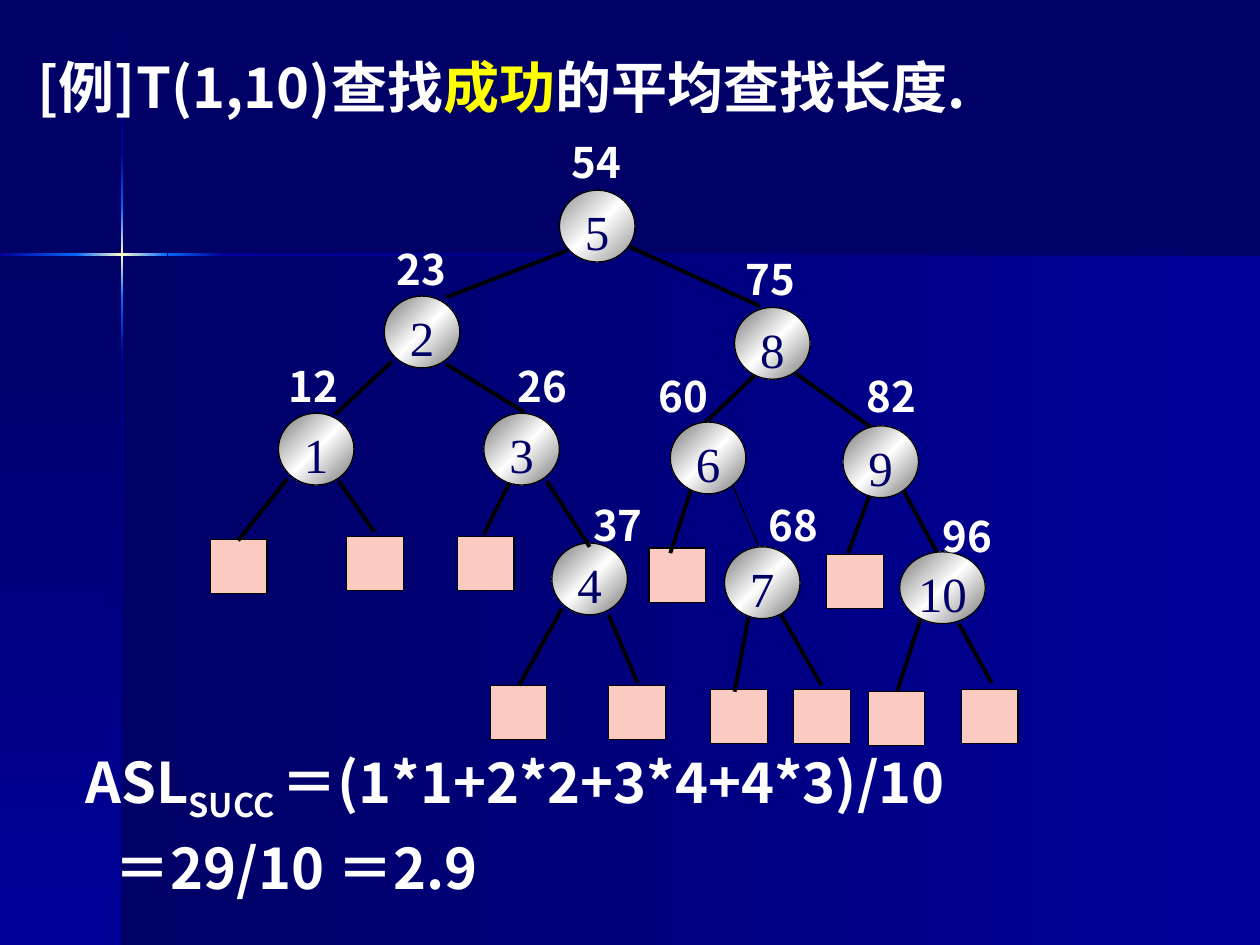
from dataclasses import dataclass
from lxml.etree import SubElement
from pptx import Presentation
from pptx.dml.color import RGBColor
from pptx.enum.shapes import MSO_CONNECTOR, MSO_SHAPE
from pptx.enum.text import MSO_ANCHOR, PP_ALIGN
from pptx.oxml.ns import qn
from pptx.util import Inches, Pt


@dataclass(frozen=True)
class Theme:
    navy: str = "000066"
    blue: str = "000099"
    glow: str = "0066FF"
    spark: str = "FFFFCC"
    white: str = "FFFFFF"
    mark: str = "FFFF00"
    black: str = "000000"
    leaf: str = "FBCBC1"
    steel: str = "767676"
    pale: str = "909090"
    sans: str = "Noto Sans CJK SC"
    serif: str = "Times New Roman"
    big: int = 32
    mid: int = 28
    small: int = 24
    lead: float = 1.36
    thin: float = 0.75
    thick: float = 2.25


class Deck:
    """Lengths are columns and rows of a 100 by 75 grid."""

    def __init__(self, theme):
        self.theme = theme
        self.prs = Presentation()
        self.prs.slide_width, self.prs.slide_height = Inches(10), Inches(7.5)
        self.slide = self.prs.slides.add_slide(self.prs.slide_layouts[6])
        self.paint(self.slide.background.fill, theme.navy)

    def grid(self, *cells):
        return [Inches(cell / 10) for cell in cells]

    def paint(self, fill, tone):
        fill.solid()
        fill.fore_color.rgb = RGBColor.from_string(tone)

    def blend(self, shape, tones, angle):
        shape.fill.gradient()
        shape.fill.gradient_angle = -angle % 360
        stops = shape.element.spPr.find(qn("a:gradFill")).find(qn("a:gsLst"))
        stops.clear()
        for i, tone in enumerate(tones):
            pos = 100000 * i // (len(tones) - 1)
            stop = SubElement(stops, qn("a:gs"), pos=str(pos))
            SubElement(stop, qn("a:srgbClr"), val=tone)

    def shape(self, kind, box, edge=True):
        shape = self.slide.shapes.add_shape(kind, *self.grid(*box))
        shape.shadow.inherit = False
        if edge:
            self.paint(shape.line.fill, self.theme.black)
            shape.line.width = Pt(self.theme.thin)
        else:
            shape.line.fill.background()
        return shape

    def band(self, box, tones, angle):
        self.blend(self.shape(MSO_SHAPE.RECTANGLE, box, False), tones, angle)

    def style(self, para, face, size, tone):
        font = para.font
        font.size, font.name = Pt(size), face
        font.color.rgb = RGBColor.from_string(tone)
        props = para._p.get_or_add_pPr().find(qn("a:defRPr"))
        SubElement(props, qn("a:ea"), typeface=face)

    def text(self, box, lines, size, left=1, dents=(0, 0)):
        """Each line is a list of (text, color, baseline shift)."""
        frame = self.slide.shapes.add_textbox(*self.grid(*box)).text_frame
        frame.word_wrap = True
        frame.margin_left, frame.margin_right = self.grid(left, 0)
        for i, (line, dent) in enumerate(zip(lines, dents)):
            para = frame.add_paragraph() if i else frame.paragraphs[0]
            para.line_spacing = Pt(size * self.theme.lead)
            para._p.get_or_add_pPr().set("marL", str(self.grid(dent)[0]))
            self.style(para, self.theme.sans, size, self.theme.white)
            para.font.bold = True
            for words, tone, shift in line:
                run = para.add_run()
                run.text = words
                if tone:
                    run.font.color.rgb = RGBColor.from_string(tone)
                if shift:
                    run.font._element.set("baseline", str(shift * 1000))

    def node(self, num, x, y, tone, wide=6):
        theme = self.theme
        ball = self.shape(MSO_SHAPE.OVAL, (x, y, wide, 5.7))
        self.blend(ball, (tone, theme.white, tone), 45)
        frame = ball.text_frame
        frame.vertical_anchor = MSO_ANCHOR.TOP
        frame.margin_left = frame.margin_right = Inches(0.02)
        frame.margin_top = frame.margin_bottom = Inches(0.01)
        para = frame.paragraphs[0]
        para.alignment = PP_ALIGN.CENTER
        self.style(para, theme.serif, theme.mid, theme.navy)
        para.add_run().text = str(num)

    def leaf(self, x, y):
        box = self.shape(MSO_SHAPE.RECTANGLE, (x, y, 4.5, 4.3))
        self.paint(box.fill, self.theme.leaf)

    def edge(self, ends, width):
        line = self.slide.shapes.add_connector(
            MSO_CONNECTOR.STRAIGHT, *self.grid(*ends))
        self.paint(line.line.fill, self.theme.black)
        line.line.width = Pt(width)
        SubElement(line._element.spPr, qn("a:effectLst"))


# number, node place, key, key place
NODES = [
    (4, 43.8, 43.1, "37", 46.1, 38.8),
    (5, 44.4, 15.1, "54", 44.4, 10),
    (2, 30.5, 23.5, "23", 30.5, 18.5),
    (8, 58.3, 24.4, "75", 58.2, 19.3),
    (1, 22.1, 32.8, "12", 21.9, 27.8),
    (3, 38.4, 32.8, "26", 40.1, 27.8),
    (6, 53.2, 33.5, "60", 51.3, 28.6),
    (9, 66.9, 33.8, "82", 67.8, 28.6),
    (7, 57.5, 43.4, "68", 60, 38.8),
    (10, 71.4, 43.8, "96", 73.8, 39.7),
]
LEAVES = [
    (51.5, 43.5), (36.3, 42.6), (65.6, 44), (76.3, 54.7), (27.5, 42.6),
    (16.7, 42.8), (38.9, 54.4), (48.3, 54.4), (56.4, 54.7), (63, 54.7),
    (68.9, 54.9),
]
EDGES = [
    (50, 19.6, 60.3, 24.3), (45, 19.9, 35.4, 23.6),
    (31.1, 28.7, 26.6, 32.9), (35.4, 28.9, 41.6, 32.7),
    (60.1, 29.6, 55.6, 33.9), (63.1, 29.6, 69.1, 33.9),
    (22.8, 38, 18.9, 42.9), (26.9, 38.2, 29.7, 42.2),
    (40.5, 38.2, 38.4, 42.4), (43.4, 38.2, 46.8, 43.4),
    (54.9, 38.7, 53.2, 43.9), (69.1, 39.1, 67.3, 43.9),
    (71.7, 38.9, 74.6, 44.3), (44.6, 48.3, 41.2, 54.4),
    (48.3, 48.8, 50.6, 54.2), (59.4, 49, 58.3, 54.9),
    (62, 48.8, 65.2, 54.4), (73.1, 49, 71.2, 54.9),
    (76.1, 49.5, 78.7, 54.2),
]
FAINT = (58.1, 38.4, 60.5, 44.1)


def main():
    theme = Theme()
    deck = Deck(theme)

    # Backdrop panels
    fade = (theme.navy, theme.blue)
    deck.band((9.7, 20.2, 90.3, 54.8), fade, 0)
    deck.band((0, 20.2, 9.7, 54.8), fade, 90)

    # Glowing cross
    rise = (theme.blue, theme.glow)
    star = (theme.glow, theme.spark, theme.glow)
    for top, tall, tones in [(0.1, 12, fade), (28.2, 46.8, fade[::-1]),
                             (23.8, 4.4, rise[::-1]), (12.1, 4.4, rise),
                             (16.5, 7.3, star)]:
        deck.band((9.6, top, 0.2, tall), tones, 90)
    for left, wide, tones in [(17.7, 82.3, fade[::-1]), (0, 6.1, rise),
                              (13.3, 4.4, rise[::-1]), (6, 7.3, star)]:
        deck.band((left, 20.1, wide, 0.2), tones, 0)

    # Title
    deck.text((0, 3, 100, 7), [[("[例]T(1,10)查找", None, 0),
                                ("成功", theme.mark, 0),
                                ("的平均查找长度.", None, 0)]],
              theme.big, left=3)

    # Tree: leaves and the node below the edges, edges, then other nodes
    for spot in LEAVES:
        deck.leaf(*spot)
    first, *rest = NODES
    deck.node(*first[:3], theme.steel)
    for ends in EDGES:
        deck.edge(ends, theme.thick)
    deck.edge(FAINT, theme.thin)
    for num, x, y, *_ in rest:
        tone = theme.pale if num == 5 else theme.steel
        deck.node(num, x, y, tone, 6.8 if num == 10 else 6)
    for *_, key, x, y in NODES:
        deck.text((x, y - 0.2, 6.1, 5), [[(key, None, 0)]], theme.small)

    # Average search length
    deck.text((5.8, 58.9, 83.3, 13),
              [[("ASL", None, 0), ("SUCC ", None, -25),
                ("＝(1*1+2*2+3*4+4*3)/10", None, 0)],
               [("＝29/10 ＝2.9", None, 0)]],
              theme.big, dents=(0, 2.3))

    deck.prs.save("out.pptx")


if __name__ == "__main__":
    main()
